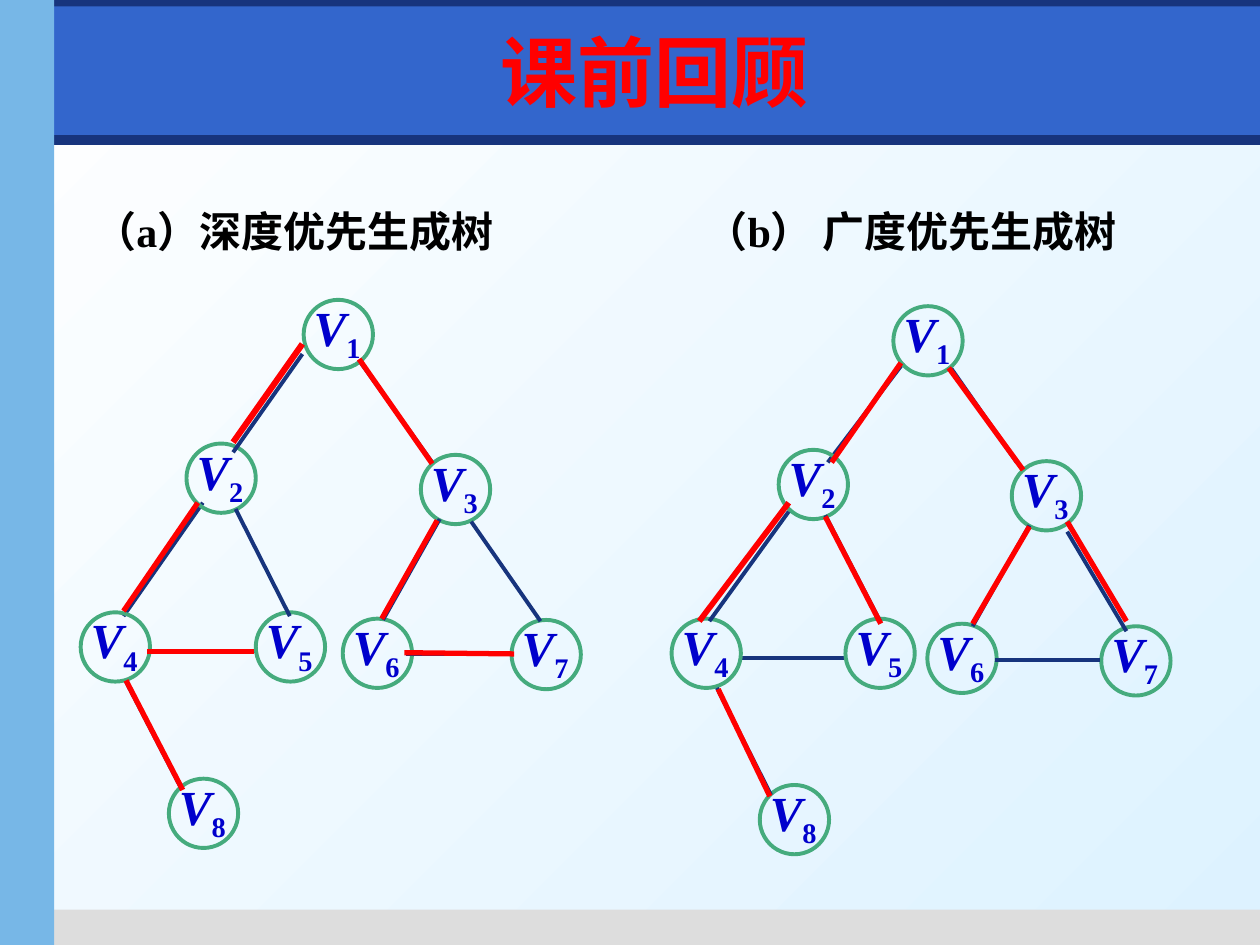
from lxml.etree import SubElement
from pptx import Presentation
from pptx.dml.color import RGBColor
from pptx.enum.shapes import MSO_CONNECTOR, MSO_SHAPE
from pptx.enum.text import MSO_ANCHOR, PP_ALIGN
from pptx.oxml.ns import qn
from pptx.util import Pt

PX = 9144  # 100 px to the inch

NAVY = RGBColor(0x17, 0x34, 0x7D)
BLUE = RGBColor(0x33, 0x66, 0xCC)
SKY = RGBColor(0x77, 0xB7, 0xE7)
GREY = RGBColor(0xDD, 0xDD, 0xDD)
WHITE = RGBColor(0xFF, 0xFF, 0xFF)
PALE = RGBColor(0xDD, 0xF2, 0xFF)
GREEN = RGBColor(0x45, 0xAB, 0x7D)
LABEL = RGBColor(0x00, 0x00, 0xCC)
RED = RGBColor(0xFF, 0x00, 0x00)
BLACK = RGBColor(0x00, 0x00, 0x00)
SERIF = "Times New Roman"


def add_edges(edges, color, weight):
    for edge in edges:
        c = s.shapes.add_connector(MSO_CONNECTOR.STRAIGHT, *[v * PX for v in edge])
        c.line.color.rgb = color
        c.line.width = Pt(weight)
        SubElement(c._element.spPr, qn("a:effectLst"))


def add_text(p, text, size, color, font, italic=False):
    r = p.add_run()
    r.text = text
    r.font.size = Pt(size)
    r.font.name = font
    r.font.bold = True
    r.font.italic = italic
    r.font.color.rgb = color
    return r


prs = Presentation()
prs.slide_width, prs.slide_height = 1000 * PX, 750 * PX
s = prs.slides.add_slide(prs.slide_layouts[5])

# Background
fill = s.background.fill
fill.gradient()
fill.gradient_angle = 315
for stop, color in zip(fill.gradient_stops, (WHITE, PALE)):
    stop.color.rgb = color

# Bands
for x, y, w, h, color in [
    (4, 107, 996, 8, NAVY),
    (35, 722, 965, 28, GREY),
    (0, 0, 1000, 21, NAVY),
    (43, 5, 957, 102, BLUE),
    (0, 0, 43, 750, SKY),
]:
    sp = s.shapes.add_shape(MSO_SHAPE.RECTANGLE, x * PX, y * PX, w * PX, h * PX)
    sp.shadow.inherit = False
    sp.fill.solid()
    sp.fill.fore_color.rgb = color
    sp.line.fill.background()

# Captions, the second one at a tab stop
sp = s.shapes.add_textbox(75 * PX, 162 * PX, 863 * PX, 51 * PX)
tf = sp.text_frame
tf.word_wrap = True
tf.margin_left = tf.margin_right = 0
tf.margin_top = tf.margin_bottom = PX
p = tf.paragraphs[0]
p.alignment = PP_ALIGN.LEFT
tabs = SubElement(p._p.get_or_add_pPr(), qn("a:tabLst"))
SubElement(tabs, qn("a:tab"), pos=str(485 * PX), algn="l")
add_text(p, "（a）深度优先生成树\t（b） 广度优先生成树", 24, BLACK, SERIF)

# Graph edges below the nodes
add_edges([
    (204, 517, 120, 517), (285, 286, 343, 367), (161, 399, 98, 489),
    (672, 522, 589, 522), (754, 291, 807, 367), (717, 288, 657, 367),
], NAVY, 2.25)

# Nodes V1 to V8 of each tree
depth_nodes = [(241, 238), (148, 352), (334, 361), (64, 486),
               (203, 486), (272, 491), (406, 492), (134, 618)]
breadth_nodes = [(709, 243), (618, 357), (803, 366), (533, 491),
                 (671, 491), (736, 495), (874, 497), (603, 623)]
for nodes in (depth_nodes, breadth_nodes):
    for number, (x, y) in enumerate(nodes, 1):
        node = s.shapes.add_group_shape()
        sp = node.shapes.add_shape(MSO_SHAPE.OVAL, x * PX, y * PX, 55 * PX, 55 * PX)
        sp.shadow.inherit = False
        sp.fill.background()
        sp.line.color.rgb = GREEN
        sp.line.width = Pt(2.25)
        sp = node.shapes.add_textbox((x + 7) * PX, (y - 5) * PX, 51 * PX, 65 * PX)
        tf = sp.text_frame
        tf.word_wrap = True
        tf.margin_left, tf.margin_right = PX, 0
        tf.margin_top, tf.margin_bottom = 3 * PX, PX
        p = tf.paragraphs[0]
        p.alignment = PP_ALIGN.JUSTIFY
        add_text(p, "V", 28, LABEL, SERIF, italic=True)
        r = add_text(p, str(number), 28, LABEL, SERIF)
        r._r.get_or_add_rPr().set("baseline", "-25000")

# Graph edges above the nodes
add_edges([
    (187, 404, 230, 489), (349, 412, 304, 492), (405, 519, 322, 519),
    (100, 541, 144, 626), (655, 409, 699, 494), (817, 417, 772, 497),
    (873, 524, 790, 524), (569, 546, 612, 631),
], NAVY, 2.25)

# Spanning tree edges
add_edges([(240, 273, 185, 351)], RED, 3.5)
add_edges([
    (157, 399, 98, 485), (202, 517, 117, 517), (145, 627, 100, 540),
    (343, 368, 285, 285), (303, 491, 347, 413), (321, 518, 408, 519),
    (715, 288, 660, 367), (753, 292, 812, 373),
], RED, 3)
add_edges([(626, 399, 555, 493)], RED, 3.25)
add_edges([
    (655, 410, 699, 495), (817, 418, 772, 495),
    (847, 414, 894, 493), (570, 547, 611, 632),
], RED, 3)

# Graph edges beside the spanning trees
add_edges([
    (240, 281, 185, 359), (429, 493, 374, 414),
    (626, 406, 563, 493), (847, 422, 894, 501),
], NAVY, 2.25)

# Title, brought in front of the bands
title = s.shapes.title
title.left, title.top, title.width, title.height = 59 * PX, 13 * PX, 921 * PX, 87 * PX
tf = title.text_frame
tf.vertical_anchor = MSO_ANCHOR.MIDDLE
p = tf.paragraphs[0]
p.alignment = PP_ALIGN.CENTER
add_text(p, "课前回顾", 44, RED, "DejaVu Sans")
s.shapes._spTree.append(title._element)

prs.save("out.pptx")
